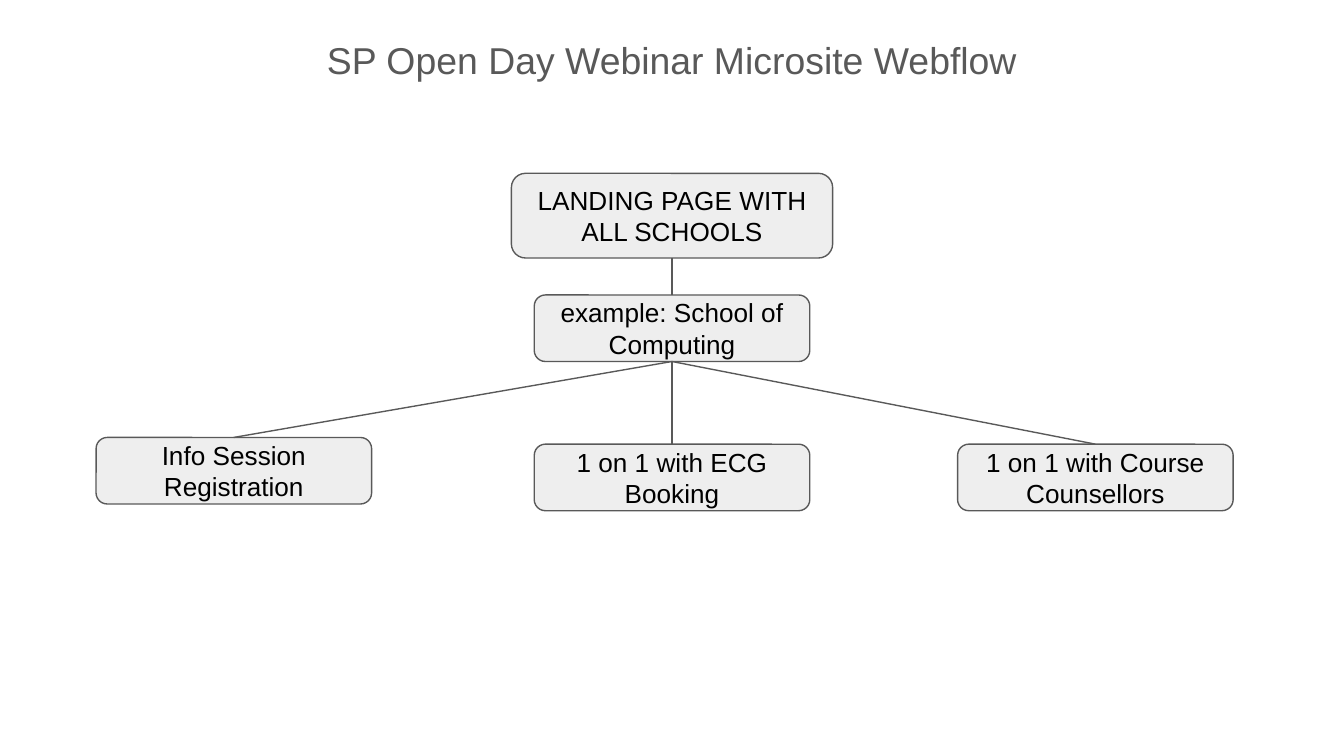
from lxml.etree import SubElement
from pptx import Presentation
from pptx.dml.color import RGBColor
from pptx.enum.shapes import MSO_CONNECTOR, MSO_SHAPE
from pptx.enum.text import MSO_ANCHOR, MSO_AUTO_SIZE, PP_ALIGN
from pptx.oxml.ns import qn
from pptx.util import Pt

PX = 4572  # EMU per px, 200 px to the inch
GREY = RGBColor(0x59, 0x59, 0x59)
LIGHT = RGBColor(0xEE, 0xEE, 0xEE)
BLACK = RGBColor(0, 0, 0)
BOTTOM, TOP = 2, 0
PAGE_SIZE = 2000, 1125

TITLE_BOX = 68, 36, 1864, 108
LANDING_BOX = 761, 258, 478, 126
NODE_SIZE = 410, 99
SCHOOL_AT = 795, 439
SERVICES = [
    ("Info Session Registration", (143, 651)),
    ("1 on 1 with ECG Booking", (795, 661)),
    ("1 on 1 with Course Counsellors", (1425, 661)),
]


def emu(box):
    return [length * PX for length in box]


def write_text(shape, text, size, color, anchor):
    frame = shape.text_frame
    frame.text = text
    frame_format = {
        "word_wrap": True,
        "auto_size": MSO_AUTO_SIZE.NONE,
        "vertical_anchor": anchor,
        **{f"margin_{side}": 20 * PX for side in ("left", "top", "right", "bottom")},
    }
    for name, value in frame_format.items():
        setattr(frame, name, value)
    para = frame.paragraphs[0]
    para.alignment = PP_ALIGN.CENTER
    font = para.runs[0].font
    for name, value in {"name": "Arial", "size": Pt(size)}.items():
        setattr(font, name, value)
    font.color.rgb = color


def add_title(page, box):
    title = page.shapes.title
    title.left, title.top, title.width, title.height = emu(box)
    write_text(title, "SP Open Day Webinar Microsite Webflow", 20, GREY, MSO_ANCHOR.TOP)


def add_node(page, text, box):
    node = page.shapes.add_shape(MSO_SHAPE.ROUNDED_RECTANGLE, *emu(box))
    node.shadow.inherit = False
    node.fill.solid()
    node.fill.fore_color.rgb = LIGHT
    node.line.color.rgb = GREY
    node.line.width = Pt(0.75)
    write_text(node, text, 14, BLACK, MSO_ANCHOR.MIDDLE)
    return node


def link(page, parent, child):
    """Join the bottom of the parent to the top of the child."""
    line = page.shapes.add_connector(MSO_CONNECTOR.STRAIGHT, 0, 0, 0, 0)
    line.begin_connect(parent, BOTTOM)
    line.end_connect(child, TOP)
    line.line.color.rgb = GREY
    line.line.width = Pt(0.75)
    SubElement(line._element.spPr, qn("a:effectLst"))


def add_site_tree(page):
    landing = add_node(page, "LANDING PAGE WITH ALL SCHOOLS", LANDING_BOX)
    school = add_node(page, "example: School of Computing", SCHOOL_AT + NODE_SIZE)
    services = [add_node(page, text, at + NODE_SIZE) for text, at in SERVICES]
    link(page, landing, school)
    for service in services:
        link(page, school, service)


def main():
    deck = Presentation()
    deck.slide_width, deck.slide_height = emu(PAGE_SIZE)
    page = deck.slides.add_slide(deck.slide_layouts.get_by_name("Title Only"))
    add_title(page, TITLE_BOX)
    add_site_tree(page)
    deck.save("out.pptx")


if __name__ == "__main__":
    main()
